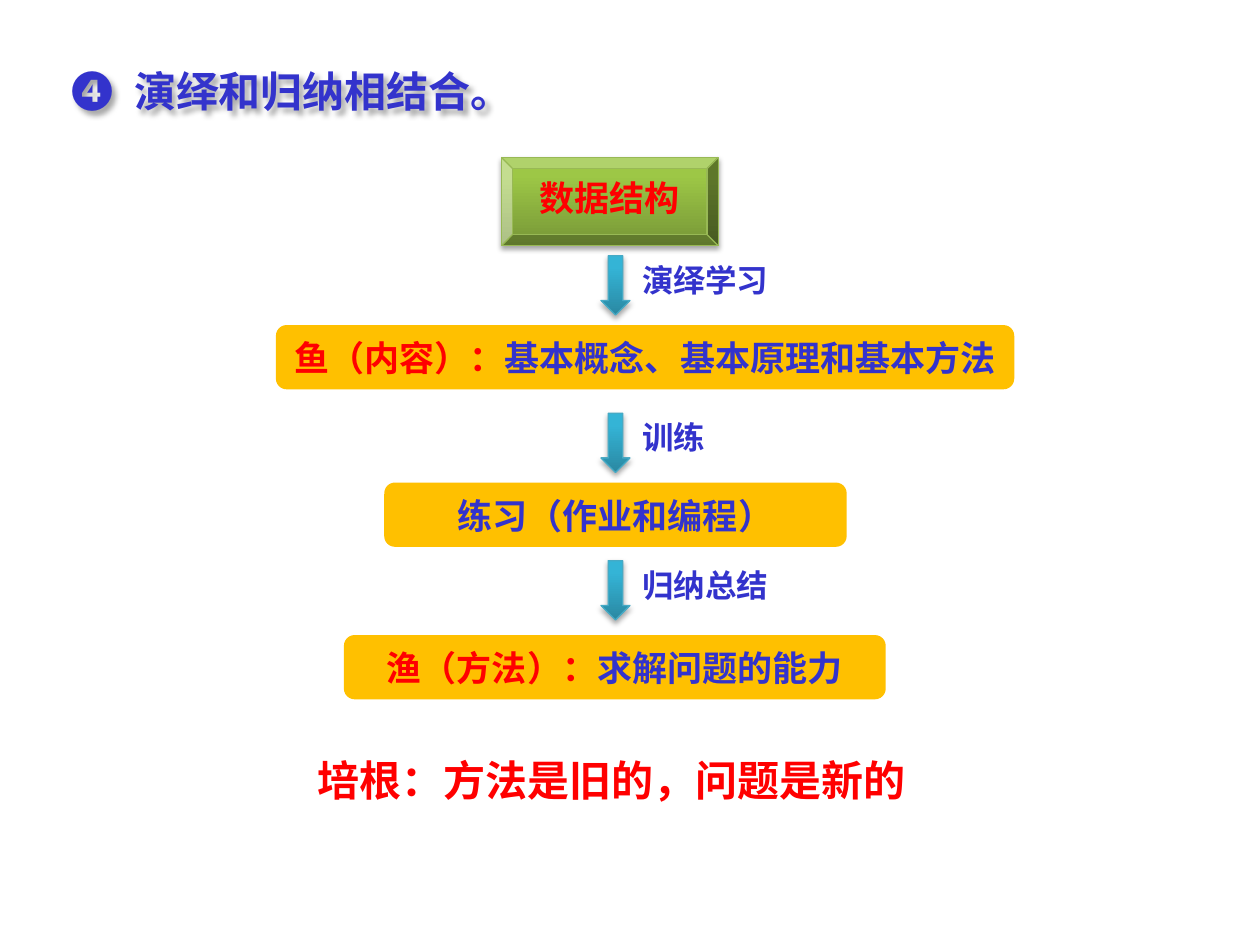
"""Build a slide showing how deduction and induction combine in learning."""
import lxml.etree
import pptx
import pptx.dml.color
import pptx.enum.shapes
import pptx.enum.text
import pptx.oxml
import pptx.oxml.ns
import pptx.util

BLUE, RED, AMBER = "3333CC", "FF0000", "FFC000"
LATIN, CHINESE = "Times New Roman", "Noto Sans CJK SC"
SHAPES = pptx.enum.shapes.MSO_SHAPE
ALIGN = pptx.enum.text.PP_ALIGN


def color(value):
    """Turn a hex string into a colour."""
    return pptx.dml.color.RGBColor.from_string(value)


def write(box, *spans, size=20, font=LATIN, align=ALIGN.LEFT, spacing=0.8):
    """Write bold (text, colour) spans into the first paragraph of a box."""
    box.text_frame.word_wrap = True
    para = box.text_frame.paragraphs[0]
    para.alignment = align
    para.line_spacing = spacing
    for text, shade in spans:
        span = para.add_run()
        span.text = text
        span.font.size = pptx.util.Pt(size)
        span.font.bold = True
        span.font.color.rgb = color(shade)
        span.font.name = font
        east = lxml.etree.SubElement(span.font._element, pptx.oxml.ns.qn("a:ea"))
        east.set("typeface", CHINESE)
    return para


deck = pptx.Presentation()
deck.slide_width, deck.slide_height = pptx.util.Inches(10), pptx.util.Inches(7.5)
page = deck.slides.add_slide(deck.slide_layouts[6])
cell = deck.slide_width // 100

title = page.shapes.add_textbox(*(int(cell * n) for n in (4.7, 4.7, 37.5, 5)))
heading = write(title, ("❹\t演绎和归纳相结合。", BLUE), size=24, spacing=1.0)
heading._p.get_or_add_pPr().set("marL", str(cell * 5))
heading._p.get_or_add_pPr().set("indent", str(-cell * 5))

topic = page.shapes.add_shape(SHAPES.BEVEL, *(int(cell * n) for n in (39.8, 12.5, 17.2, 7)))
write(topic, ("数据结构", RED), font=CHINESE, align=ALIGN.CENTER)
raised = [(topic, "779737", "9DC746", "98B955")]

stages = [
    (21.9, 25.8, 58.6, [("鱼（内容）：", RED), ("基本概念、基本原理和基本方法", BLUE)]),
    (30.5, 38.3, 36.7, [("练习（作业和编程）", BLUE)]),
    (27.3, 50.4, 43, [("渔（方法）：", RED), ("求解问题的能力", BLUE)]),
]
for left, top, width, spans in stages:
    stage = page.shapes.add_shape(
        SHAPES.ROUNDED_RECTANGLE, *(int(cell * n) for n in (left, top, width, 5.1)))
    stage.shadow.inherit = False
    stage.fill.solid()
    stage.fill.fore_color.rgb = color(AMBER)
    stage.line.fill.background()
    stage.text_frame.margin_top = pptx.util.Inches(0.12)
    write(stage, *spans, align=ALIGN.CENTER)

for top, step, width in [(20.3, "演绎学习", 12.5), (32.8, "训练", 8.6), (44.5, "归纳总结", 12.5)]:
    arrow = page.shapes.add_shape(
        SHAPES.DOWN_ARROW, *(int(cell * n) for n in (47.7, top, 2.3, 4.7)))
    raised.append((arrow, "2A88A2", "34B4D6", "46AAC5"))
    label = page.shapes.add_textbox(*(int(cell * n) for n in (50, top + 0.5, width, 3.4)))
    write(label, (step, BLUE), size=18)

quote = page.shapes.add_textbox(*(int(cell * n) for n in (24.2, 60.2, 52.3, 4.2)))
write(quote, ("培根：方法是旧的，问题是新的", RED), size=24, font=CHINESE)

for shape, dark, light, edge in raised:
    shape.fill.gradient()
    shape.fill.gradient_angle = 90
    for stop, shade, position in zip(shape.fill.gradient_stops, (dark, light), (0, 0.8)):
        stop.color.rgb = color(shade)
        stop.position = position
    shape.line.color.rgb = color(edge)
    shape.line.width = pptx.util.Pt(0.75)

shadows = [(shape, 3.1, 1.8, 90) for shape, *_ in raised] + [(title, 3, 3, 45)]
for shape, blur, distance, angle in shadows:
    shape.shadow.inherit = False
    effects = shape._element.spPr.find(pptx.oxml.ns.qn("a:effectLst"))
    effects.append(pptx.oxml.parse_xml(
        f'<a:outerShdw {pptx.oxml.ns.nsdecls("a")} blurRad="{pptx.util.Pt(blur)}" '
        f'dist="{pptx.util.Pt(distance)}" dir="{angle * 60000}" rotWithShape="0">'
        '<a:srgbClr val="000000"><a:alpha val="35000"/></a:srgbClr></a:outerShdw>'))

deck.save("out.pptx")
